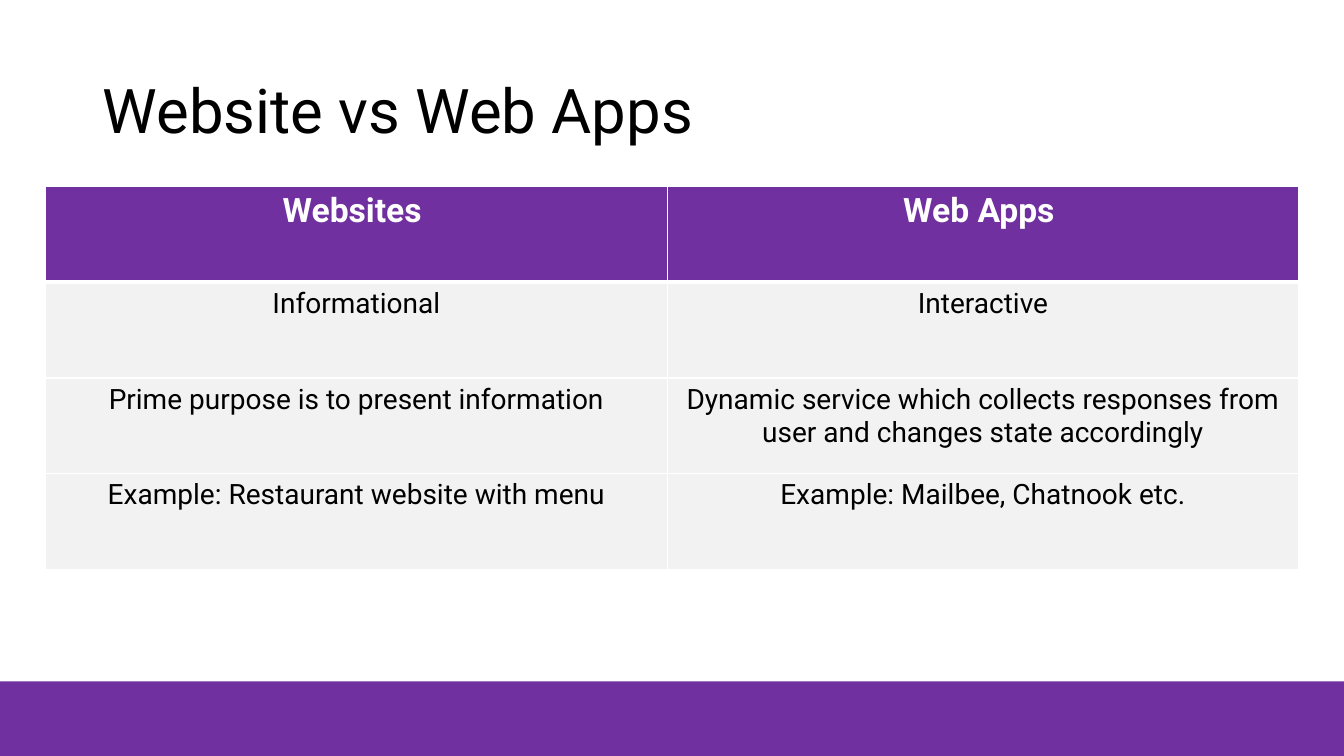
from lxml import etree
from pptx import Presentation
from pptx.dml.color import RGBColor
from pptx.enum.shapes import MSO_SHAPE
from pptx.enum.text import MSO_ANCHOR, PP_ALIGN
from pptx.oxml.ns import qn
from pptx.util import Inches, Pt

PURPLE = RGBColor(0x70, 0x30, 0xA0)
LIGHT_GRAY = RGBColor(0xF2, 0xF2, 0xF2)
WHITE = RGBColor(0xFF, 0xFF, 0xFF)
BLACK = RGBColor(0, 0, 0)
RECTANGLE = MSO_SHAPE.RECTANGLE
MIDDLE = MSO_ANCHOR.MIDDLE
LEFT, CENTER = PP_ALIGN.LEFT, PP_ALIGN.CENTER
FONT = "Roboto"

ROWS = [
    ("Websites ", "Web Apps "),
    ("Informational", "Interactive"),
    ("Prime purpose is to present information",
     "Dynamic service which collects responses from user and changes state accordingly"),
    ("Example: Restaurant website with menu", "Example: Mailbee, Chatnook etc."),
]
COLUMN_WIDTHS = (6.17, 6.26)
ROW_HEIGHT = 0.95


def format_text(p, size, color, align, bold=False):
    p.alignment = align
    for r in p.runs:
        r.font.name = FONT
        r.font.size = Pt(size)
        r.font.bold = bold
        r.font.color.rgb = color


def set_borders(cell, bottom_width):
    tcPr = cell._tc.get_or_add_tcPr()
    widths = {"a:lnL": 1, "a:lnR": 1, "a:lnT": 1, "a:lnB": bottom_width}
    for i, (tag, width) in enumerate(widths.items()):
        ln = etree.Element(qn(tag), w=str(Pt(width)))
        fill = etree.SubElement(ln, qn("a:solidFill"))
        etree.SubElement(fill, qn("a:srgbClr"), val=str(WHITE))
        tcPr.insert(i, ln)


prs = Presentation()
prs.slide_width = Inches(13.33)
prs.slide_height = Inches(7.5)
s = prs.slides.add_slide(prs.slide_layouts[5])

bar = s.shapes.add_shape(RECTANGLE, Inches(-0.11), Inches(6.76), Inches(13.55), Inches(0.74))
bar.shadow.inherit = False
bar.fill.solid()
bar.fill.fore_color.rgb = PURPLE
bar.line.fill.background()

title = s.shapes.title
title.left, title.top = Inches(0.92), Inches(0.4)
title.width, title.height = Inches(11.5), Inches(1.45)
tf = title.text_frame
tf.text = "Website vs Web Apps"
tf.vertical_anchor = MIDDLE
tf.paragraphs[0].line_spacing = 0.9
format_text(tf.paragraphs[0], 44, BLACK, LEFT)

table = s.shapes.add_table(
    len(ROWS), len(COLUMN_WIDTHS), Inches(0.45), Inches(1.85),
    Inches(sum(COLUMN_WIDTHS)), Inches(ROW_HEIGHT * len(ROWS))).table
for column, width in zip(table.columns, COLUMN_WIDTHS):
    column.width = Inches(width)

for i, texts in enumerate(ROWS):
    header = i == 0
    table.rows[i].height = Inches(ROW_HEIGHT)
    for j, text in enumerate(texts):
        cell = table.cell(i, j)
        cell.text_frame.text = text
        cell.fill.solid()
        cell.fill.fore_color.rgb = PURPLE if header else LIGHT_GRAY
        format_text(cell.text_frame.paragraphs[0], 24 if header else 20,
                    WHITE if header else BLACK, CENTER, header)
        set_borders(cell, 3 if header else 1)
for cell in table.rows[1].cells:
    cell._tc.tcPr.find(qn("a:lnT")).set("w", str(Pt(3)))

prs.save("out.pptx")
